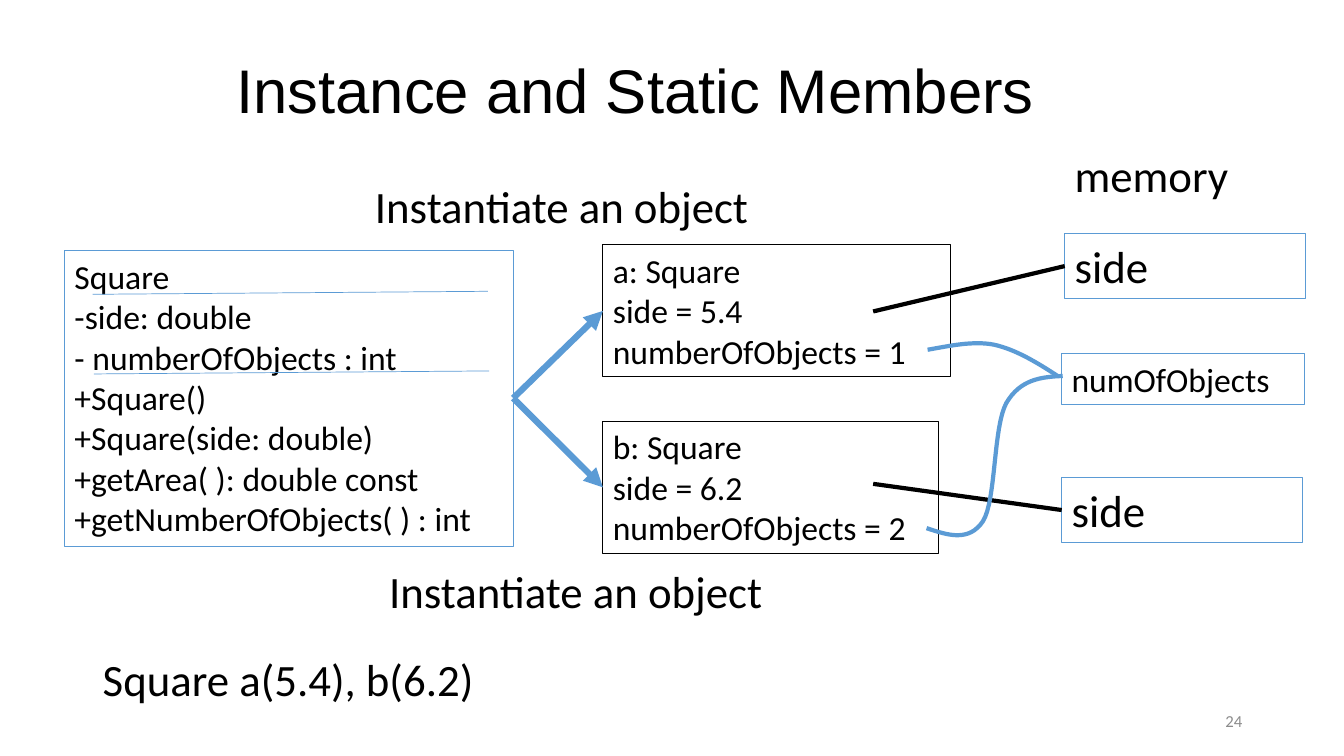
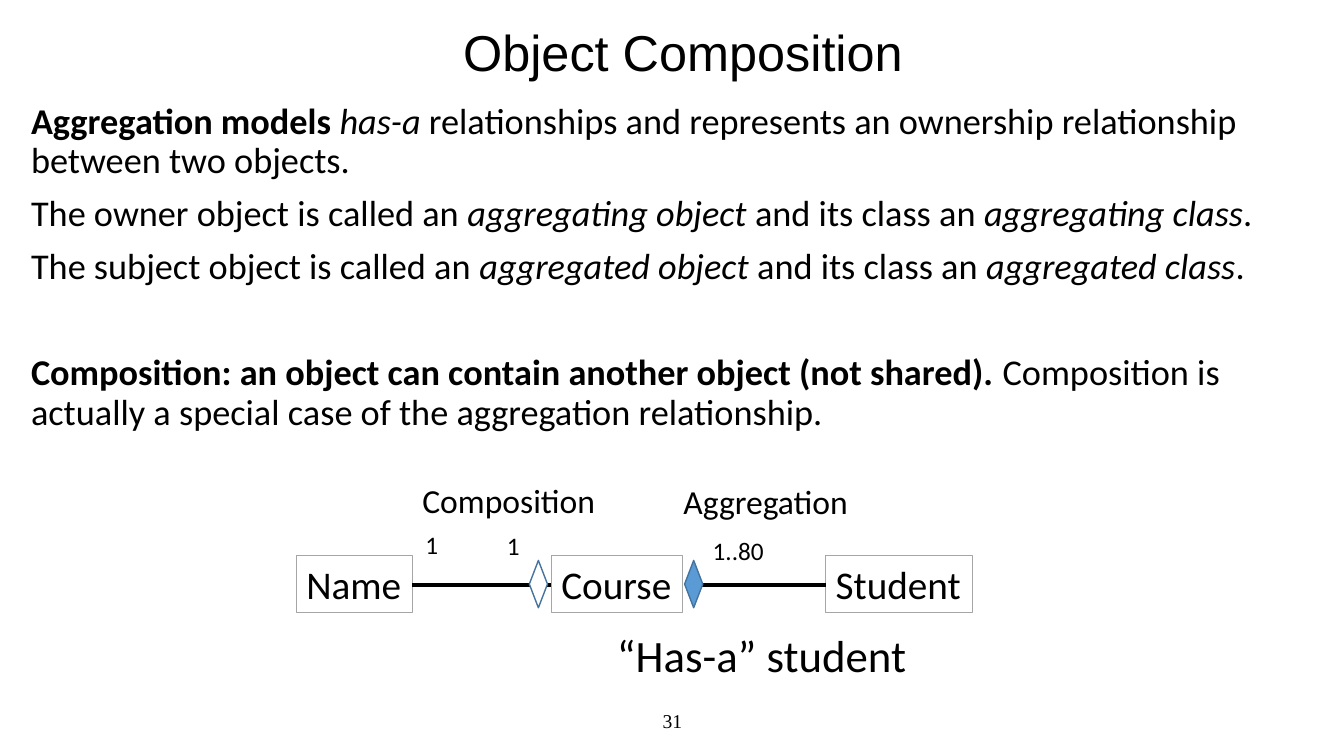
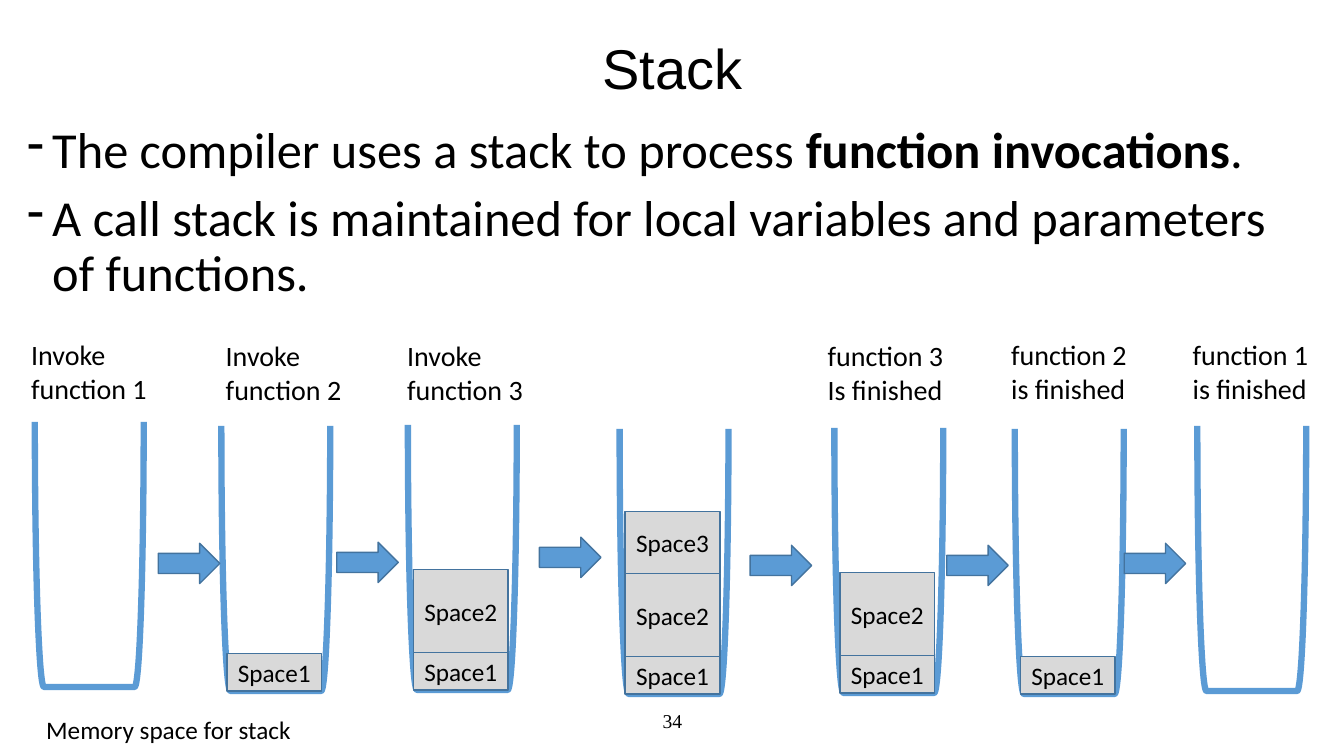
from collections.abc import Iterable, Sequence
from dataclasses import dataclass

from lxml.etree import SubElement
from pptx import Presentation
from pptx.dml.color import RGBColor
from pptx.enum.shapes import MSO_CONNECTOR, MSO_SHAPE
from pptx.enum.text import MSO_ANCHOR, MSO_AUTO_SIZE, PP_ALIGN
from pptx.oxml.ns import qn
from pptx.util import Emu, Inches, Pt


# --- Theme ---
@dataclass(frozen=True)
class Theme:
    ink: str = "000000"
    paper: str = "FFFFFF"
    accent: str = "5B9BD5"
    edge: str = "43739E"
    frame: str = "A6A6A6"
    block: str = "D9D9D9"
    muted: str = "8C8C8C"
    body_font: str = "Calibri"
    title_font: str = "Arial"
    page_font: str = "Times New Roman"
    lead: float = 36
    heading: float = 32
    node: float = 28
    prose: float = 25.9
    code: float = 24
    label: float = 20
    small: float = 18
    page: float = 14
    page_small: float = 12
    hairline: float = 0.5
    thin: float = 0.75
    outline: float = 1
    link: float = 3
    heavy: float = 4.5


T = Theme()


# --- Grid: square cells, ten to the inch ---
@dataclass(frozen=True)
class Box:
    """Left, top, width and height in grid cells."""
    x: float
    y: float
    w: float
    h: float

    def emu(self) -> tuple[Emu, Emu, Emu, Emu]:
        return cells(self.x), cells(self.y), cells(self.w), cells(self.h)


Point = tuple[float, float]


def cells(n: float) -> Emu:
    return Inches(n / 10)


# --- Text ---
@dataclass(frozen=True)
class Run:
    text: str
    bold: bool = False
    italic: bool = False


@dataclass(frozen=True)
class Para:
    runs: Sequence[Run]
    before: float = 10


def plain(text: str) -> list[Para]:
    return [Para([Run(line)], 0) for line in text.split("\n")]


def write(sp, content: str | Iterable[Para], *, size: float, font: str = T.body_font,
          color: str = T.ink, align=PP_ALIGN.LEFT, anchor=MSO_ANCHOR.TOP,
          wrap: bool = True, grow: bool = False, spacing: float | None = None,
          bullet: str = "") -> None:
    tf = sp.text_frame
    tf.word_wrap = wrap
    tf.vertical_anchor = anchor
    tf.auto_size = MSO_AUTO_SIZE.SHAPE_TO_FIT_TEXT if grow else MSO_AUTO_SIZE.NONE
    paras = plain(content) if isinstance(content, str) else content
    for i, para in enumerate(paras):
        p = tf.add_paragraph() if i else tf.paragraphs[0]
        p.alignment = align
        if spacing:
            p.line_spacing = spacing
        if para.before:
            p.space_before = Pt(para.before)
        if bullet:
            indent = cells(2.5)
            pPr = p._p.get_or_add_pPr()
            pPr.set("marL", str(indent))
            pPr.set("indent", str(-indent))
            SubElement(pPr, qn("a:buChar")).set("char", bullet)
        for run in para.runs:
            r = p.add_run()
            r.text = run.text
            r.font.name, r.font.size = font, Pt(size)
            r.font.bold, r.font.italic = run.bold, run.italic
            r.font.color.rgb = RGBColor.from_string(color)


def text(s, box: Box, content: str | Iterable[Para], **fmt) -> None:
    write(s.shapes.add_textbox(*box.emu()), content, **fmt)


def label(s, box: Box, content: str, size: float) -> None:
    text(s, box, content, size=size, wrap=False, grow=True)


def title(s, box: Box, content: str, size: float) -> None:
    text(s, box, content, size=size, font=T.title_font, align=PP_ALIGN.CENTER,
         anchor=MSO_ANCHOR.MIDDLE, spacing=0.9)


def page_number(s, number: int) -> None:
    text(s, Box(44.2, 69.5, 45, 4), str(number), size=T.page, font=T.page_font,
         align=PP_ALIGN.CENTER, anchor=MSO_ANCHOR.MIDDLE)


# --- Shapes and lines ---
def stroke(sp, color: str, width: float) -> None:
    sp.line.color.rgb = RGBColor.from_string(color)
    sp.line.width = Pt(width)


def shape(s, kind, box: Box, *, fill: str = "", line: str = T.edge,
          width: float = T.outline):
    sp = s.shapes.add_shape(kind, *box.emu())
    sp.shadow.inherit = False
    if fill:
        sp.fill.solid()
        sp.fill.fore_color.rgb = RGBColor.from_string(fill)
    else:
        sp.fill.background()
    stroke(sp, line, width)
    return sp


def framed(s, box: Box, content: str, *, size: float, line: str, wrap: bool = True) -> None:
    sp = shape(s, MSO_SHAPE.RECTANGLE, box, line=line, width=T.thin)
    write(sp, content, size=size, wrap=wrap, grow=True)


def connect(s, start: Point, end: Point, *, color: str = T.ink,
            width: float = T.link, arrow: bool = False) -> None:
    sp = s.shapes.add_connector(MSO_CONNECTOR.STRAIGHT, *map(cells, start + end))
    stroke(sp, color, width)
    if arrow:
        SubElement(sp.line._get_or_add_ln(), qn("a:tailEnd")).set("type", "triangle")
    SubElement(sp._element.spPr, qn("a:effectLst"))


def curve(s, start: Point, *segments: tuple[Point, Point, Point], steps: int = 16) -> None:
    """Draw joined cubic curves, each given as two handles and an end."""
    points, a = [], start
    for b, c, d in segments:
        for t in (i / steps for i in range(1, steps + 1)):
            u = 1 - t
            points.append(tuple(
                cells(u**3 * a[k] + 3 * u * u * t * b[k] + 3 * u * t * t * c[k] + t**3 * d[k])
                for k in (0, 1)))
        a = d
    builder = s.shapes.build_freeform(cells(start[0]), cells(start[1]))
    builder.add_line_segments(points, close=False)
    sp = builder.convert_to_shape()
    sp.shadow.inherit = False
    sp.fill.background()
    stroke(sp, T.accent, T.link)


# --- Slide: instance and static members ---
def members_slide(s) -> None:
    title(s, Box(6.4, 2, 115, 14.5), "Instance and Static Members ", 44)

    # Class diagram
    framed(s, Box(6.4, 24.9, 44.5, 29.3),
           "Square\n-side: double\n- numberOfObjects : int\n+Square()\n"
           "+Square(side: double)\n+getArea( ): double const\n"
           "+getNumberOfObjects( ) : int", size=T.code, line=T.accent)
    for x, y in ((9.2, 29.2), (9.3, 37.1)):
        connect(s, (x, y), (x + 39.2, y - 0.3), color=T.accent, width=T.hairline)

    # Objects made from the class
    objects = (
        (Box(59.8, 24.3, 34.5, 13.1), "a: Square\nside = 5.4\nnumberOfObjects = 1"),
        (Box(59.8, 41.8, 33.3, 13.1), "b: Square\nside = 6.2\nnumberOfObjects = 2"),
    )
    for box, content in objects:
        framed(s, box, content, size=T.code, line=T.ink)
        connect(s, (50.9, 39.5), (box.x, box.y + box.h / 2),
                color=T.accent, width=T.heavy, arrow=True)

    # Captions
    for box, content in (
        (Box(9.2, 64.2, 39.2, 6.4), "Square a(5.4), b(6.2)"),
        (Box(36.2, 17.2, 39.5, 6.4), "Instantiate an object"),
        (Box(37.6, 55.4, 39.5, 6.4), "Instantiate an object"),
        (Box(105.6, 14.2, 17.4, 6.4), "memory"),
    ):
        label(s, box, content, T.heading)

    # Memory cells and their links
    for box, content, size in (
        (Box(105.6, 23.2, 23.9, 6.4), "side", T.heading),
        (Box(105.3, 47.4, 23.9, 6.4), "side", T.heading),
        (Box(105.3, 35.1, 24.1, 5), "numOfObjects", T.code),
    ):
        framed(s, box, content, size=size, line=T.accent)
    connect(s, (86.6, 30.9), (105.6, 26.4))
    connect(s, (86.6, 48), (105.3, 50.6))
    curve(s, (91.9, 52.4),
          ((94, 53.1), (96.1, 53.8), (97.5, 51.7)),
          ((98.8, 49.6), (98.5, 42.4), (99.8, 40)),
          ((101.2, 37.6), (103.3, 37.4), (105.4, 37.3)))
    curve(s, (92, 34.7),
          ((94.3, 34.3), (96.5, 33.8), (98.6, 34.2)),
          ((100.8, 34.7), (102.9, 36), (104.9, 37.3)))

    text(s, Box(94.2, 69.5, 30, 4), "24", size=T.page_small, color=T.muted,
         align=PP_ALIGN.RIGHT, anchor=MSO_ANCHOR.MIDDLE)


# --- Slide: object composition ---
def role(owner: str, kind: str) -> Para:
    return Para([Run(f"The {owner} object is called an "),
                 Run(f"{kind} object", italic=True), Run(" and its class an "),
                 Run(f"{kind} class", italic=True), Run(". ")])


def composition_slide(s) -> None:
    page_number(s, 31)
    title(s, Box(2.1, 2.7, 131.3, 5.6), "Object Composition", 36)
    text(s, Box(2.1, 9.7, 131.3, 35.2), (
        Para([Run("Aggregation models ", bold=True), Run("has-a", italic=True),
              Run(" relationships and represents an ownership relationship "
                  "between two objects. ")]),
        role("owner", "aggregating"),
        role("subject", "aggregated"),
        Para([Run("Composition: an object can contain another object (not shared). ",
                  bold=True),
              Run("Composition is actually a special case of the aggregation "
                  "relationship. ")], before=48),
    ), size=T.prose, spacing=0.9)

    # Classes
    for x, w, name in ((29.4, 11.5, "Name"), (54.7, 13, "Course"), (81.9, 14.6, "Student")):
        framed(s, Box(x, 55.1, w, 5.7), name, size=T.node, line=T.frame, wrap=False)

    # Relationships
    for x in (40.9, 68.1):
        connect(s, (x, 58), (x + 13.8, 58))
    for x, fill in ((67.9, T.accent), (52.5, T.paper)):
        shape(s, MSO_SHAPE.DIAMOND, Box(x, 55.6, 1.8, 4.7), fill=fill)
    for box, content, size in (
        (Box(60.2, 61.8, 31, 6.4), "“Has-a” student", T.heading),
        (Box(40.9, 47.1, 19.3, 5), "Composition", T.code),
        (Box(66.8, 47.2, 18.5, 5), "Aggregation", T.code),
        (Box(69.7, 52.6, 7.1, 4), "1..80", T.small),
        (Box(49.3, 52.1, 3.3, 4), "1", T.small),
        (Box(41.2, 52, 3.3, 4), "1", T.small),
    ):
        label(s, box, content, size)


# --- Slide: stack ---
CUP_W, CUP_H = 10.8, 26.3
SPACE_W = 9.4
SPACE_HEIGHTS = (3.7, 8.25, 6.15)


@dataclass(frozen=True)
class Stage:
    """A cup's top left corner, how many spaces it holds, and its caption."""
    x: float
    y: float
    spaces: int
    caption: str = ""
    caption_at: Point = (0, 0)


STAGES = (
    Stage(3.45, 41.85, 0, "Invoke\nfunction 1", (2.1, 33)),
    Stage(21.95, 42.25, 1, "Invoke\nfunction 2", (21.4, 33.1)),
    Stage(40.45, 42.15, 2, "Invoke\nfunction 3", (39.4, 33.1)),
    Stage(61.45, 42.55, 3),
    Stage(82.75, 42.45, 2, "function 3\nIs finished", (81.1, 33.1)),
    Stage(100.65, 42.55, 1, "function 2\nis finished", (99.3, 33)),
    Stage(118.75, 42.25, 0, "function 1\nis finished", (117.3, 33)),
)
ARROWS = ((15.7, 53.9), (33.4, 53.8), (53.5, 53.3), (74.4, 54.1), (93.9, 54.1), (111.5, 53.9))


def draw_stage(s, stage: Stage) -> None:
    # The bracket lies on its side, so its box is turned about the cup's centre
    cx, cy = stage.x + CUP_W / 2, stage.y + CUP_H / 2
    cup = shape(s, MSO_SHAPE.RIGHT_BRACKET,
                Box(cx - CUP_H / 2, cy - CUP_W / 2, CUP_H, CUP_W),
                line=T.accent, width=T.heavy)
    cup.rotation = 90
    y = stage.y + CUP_H
    for n, h in enumerate(SPACE_HEIGHTS[:stage.spaces], start=1):
        y -= h
        sp = shape(s, MSO_SHAPE.RECTANGLE, Box(stage.x + 0.55, y, SPACE_W, h), fill=T.block)
        write(sp, f"Space{n}", size=T.small, align=PP_ALIGN.CENTER, anchor=MSO_ANCHOR.MIDDLE)
    if stage.caption:
        label(s, Box(*stage.caption_at, 13.9, 7.7), stage.caption, T.label)


def stack_slide(s) -> None:
    page_number(s, 34)
    title(s, Box(24.2, 3.1, 85, 8), "Stack", 40)
    text(s, Box(1.7, 11.9, 128, 57.6), (
        Para([Run("The compiler uses a stack to process "),
              Run("function invocations", bold=True), Run(". ")]),
        Para([Run("A call stack is maintained for local variables and parameters "
                  "of functions. ")]),
    ), size=T.lead, spacing=0.9, bullet="-")
    for stage in STAGES:
        draw_stage(s, stage)
    for x, y in ARROWS:
        shape(s, MSO_SHAPE.RIGHT_ARROW, Box(x, y, 6.1, 4), fill=T.accent)
    label(s, Box(3.6, 70.4, 26.5, 4), "Memory space for stack", T.small)


# --- Build ---
prs = Presentation()
prs.slide_width, prs.slide_height = Inches(13.33), Inches(7.5)
for build in (members_slide, composition_slide, stack_slide):
    build(prs.slides.add_slide(prs.slide_layouts[6]))
prs.save("out.pptx")
